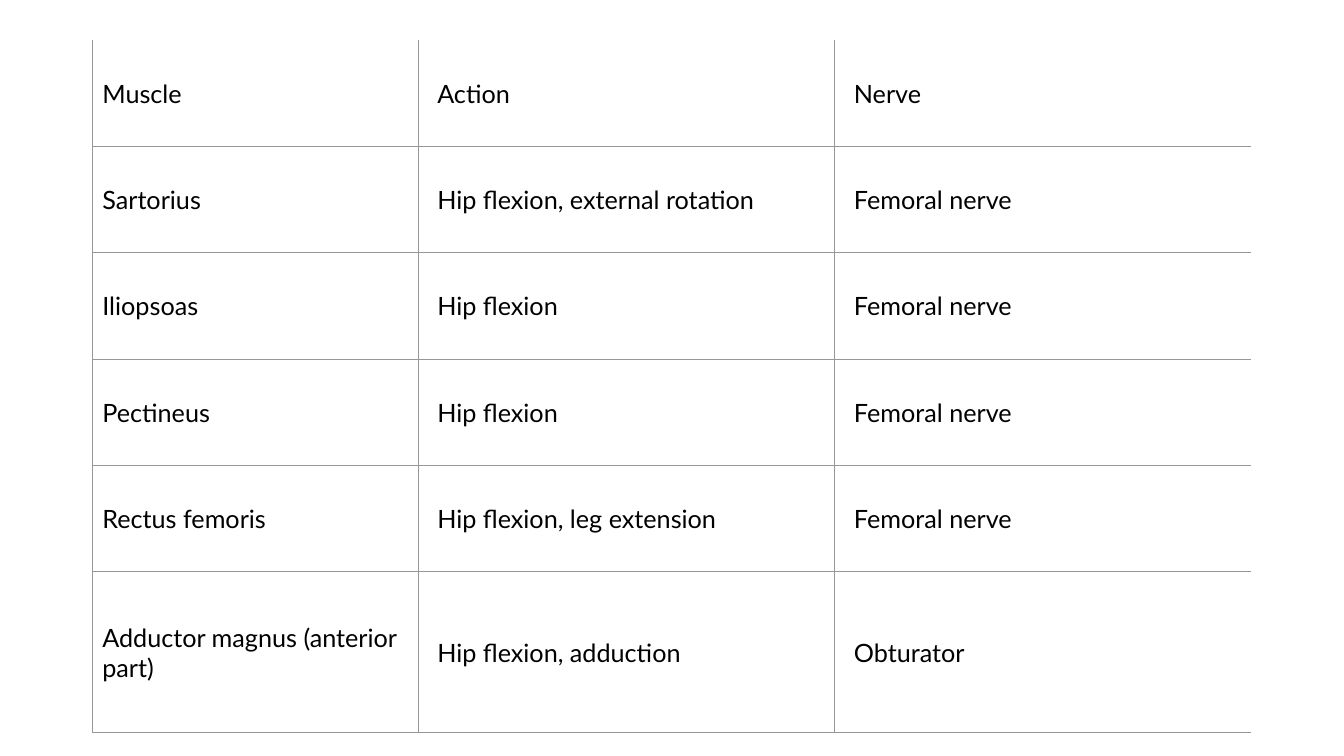
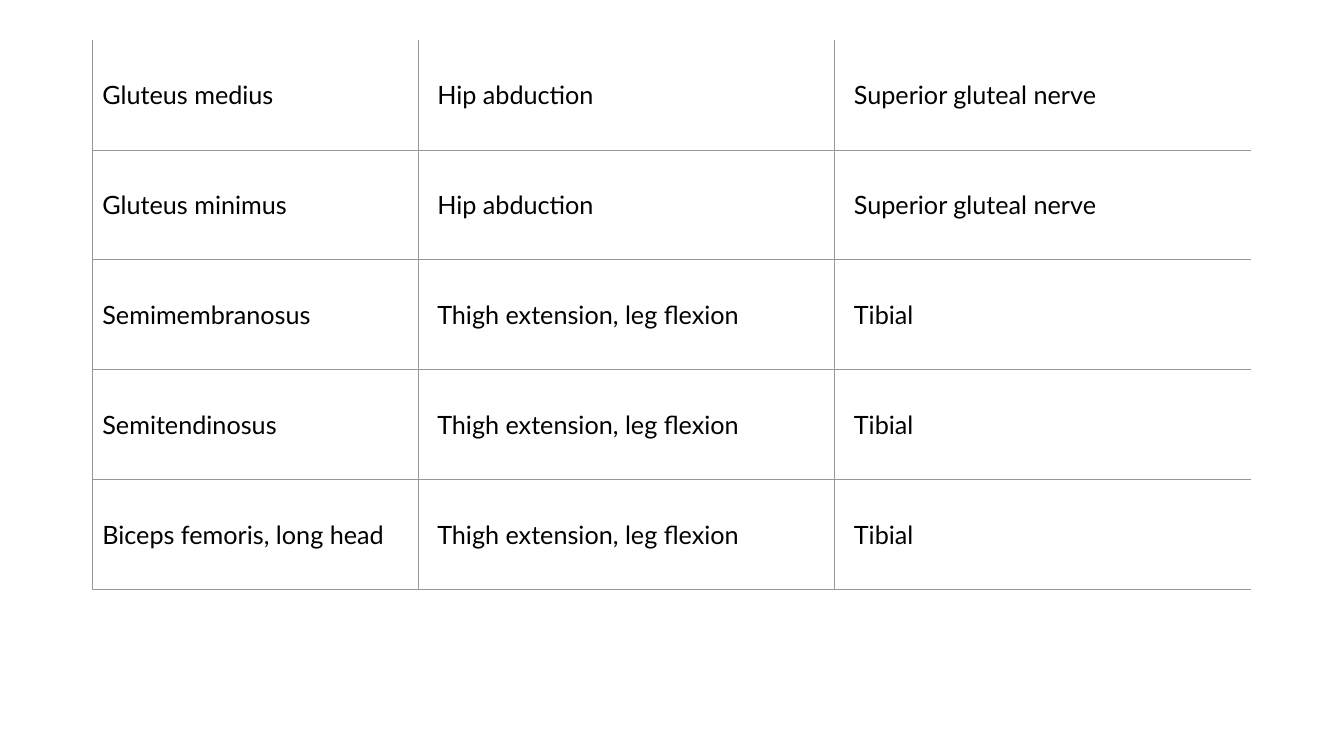
"""Build two slides of tables listing hip muscles, their actions and nerves."""
from lxml import etree
from pptx import Presentation
from pptx.dml.color import RGBColor
from pptx.enum.text import MSO_ANCHOR
from pptx.oxml.ns import qn
from pptx.util import Cm, Pt

MIDDLE = MSO_ANCHOR.MIDDLE
BLANK_LAYOUT = 6
FONT = "Lato"
FONT_SIZE = Pt(18)
COLORS = {"text": "000000", "fill": "FFFFFF", "grid": "979797"}
TABLE_LEFT, TABLE_TOP = Cm(2.33), Cm(1.01)
COLUMN_WIDTHS = [Cm(8.21), Cm(10.5), Cm(10.48)]
GRID_WIDTH = Pt(0.75)
LEFT_EDGE_WIDTH = Pt(1)

FLEXORS = [
    ("Muscle", "Action", "Nerve"),
    ("Sartorius", "Hip flexion, external rotation", "Femoral nerve"),
    ("Iliopsoas", "Hip flexion", "Femoral nerve"),
    ("Pectineus", "Hip flexion", "Femoral nerve"),
    ("Rectus femoris", "Hip flexion, leg extension", "Femoral nerve"),
    ("Adductor magnus (anterior part)", "Hip flexion, adduction", "Obturator"),
]
ABDUCTORS_AND_EXTENSORS = [
    ("Gluteus medius", "Hip abduction", "Superior gluteal nerve"),
    ("Gluteus minimus", "Hip abduction", "Superior gluteal nerve"),
    ("Semimembranosus", "Thigh extension, leg flexion", "Tibial"),
    ("Semitendinosus", "Thigh extension, leg flexion", "Tibial"),
    ("Biceps femoris, long head", "Thigh extension, leg flexion", "Tibial"),
]


def color(name):
    return RGBColor.from_string(COLORS[name])


def add_border(cell, side, width):
    properties = cell._tc.get_or_add_tcPr()
    line = etree.SubElement(properties, qn(f"a:ln{side}"), w=str(width))
    if width:
        fill = etree.SubElement(line, qn("a:solidFill"))
        etree.SubElement(fill, qn("a:srgbClr"), val=COLORS["grid"])
    else:
        etree.SubElement(line, qn("a:noFill"))


def style_cell(cell, text, first_row, first_column, last_column):
    widths = {
        "L": LEFT_EDGE_WIDTH if first_column else GRID_WIDTH,
        "R": 0 if last_column else GRID_WIDTH,
        "T": 0 if first_row else GRID_WIDTH,
        "B": GRID_WIDTH,
    }
    for side, width in widths.items():
        add_border(cell, side, width)
    cell.fill.solid()
    cell.fill.fore_color.rgb = color("fill")
    cell.vertical_anchor = MIDDLE
    cell.margin_left = Cm(0.25 if first_column else 0.48)
    cell.margin_right = Cm(0.48)
    cell.margin_top = cell.margin_bottom = Cm(0.38)
    cell.text = text
    font = cell.text_frame.paragraphs[0].font
    font.name, font.size = FONT, FONT_SIZE
    font.color.rgb = color("text")


def add_muscle_table(page, records, row_heights):
    frame = page.shapes.add_table(
        len(records), len(COLUMN_WIDTHS), TABLE_LEFT, TABLE_TOP,
        sum(COLUMN_WIDTHS), sum(row_heights))
    table = frame.table
    table.first_row = table.horz_banding = False
    for column, width in zip(table.columns, COLUMN_WIDTHS):
        column.width = width
    last = len(COLUMN_WIDTHS) - 1
    for row_index, (record, height) in enumerate(zip(records, row_heights)):
        table.rows[row_index].height = height
        for index, text in enumerate(record):
            style_cell(table.cell(row_index, index), text,
                       row_index == 0, index == 0, index == last)


def main():
    deck = Presentation()
    deck.slide_width, deck.slide_height = Cm(33.87), Cm(19.05)
    tables = [
        (FLEXORS, [Cm(2.68)] * 5 + [Cm(4.06)]),
        (ABDUCTORS_AND_EXTENSORS, [Cm(2.77)] * 5),
    ]
    for records, row_heights in tables:
        page = deck.slides.add_slide(deck.slide_layouts[BLANK_LAYOUT])
        add_muscle_table(page, records, row_heights)
    deck.save("out.pptx")


if __name__ == "__main__":
    main()
